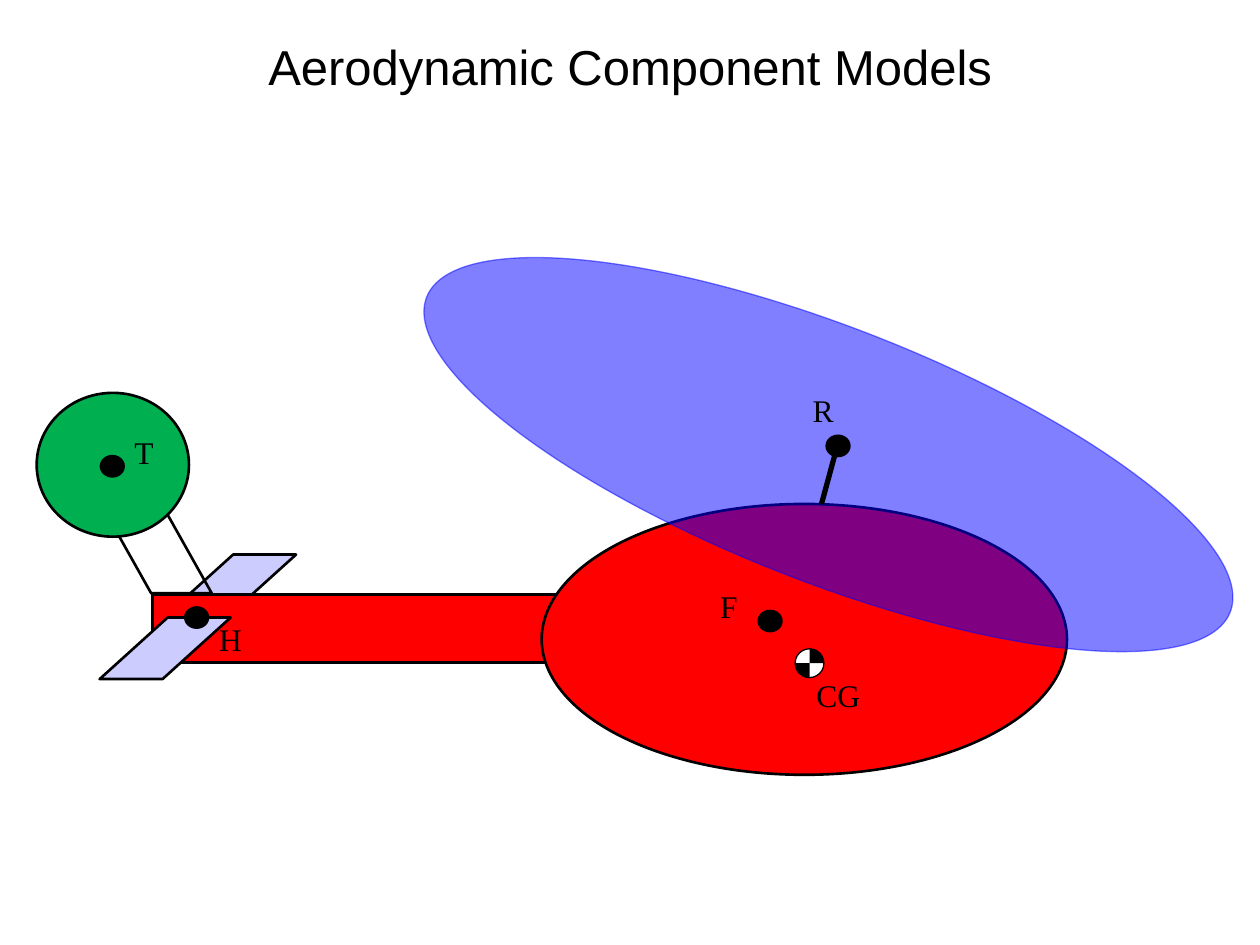
from math import cos, pi, sin

from pptx import Presentation
from pptx.dml.color import RGBColor
from pptx.enum.shapes import MSO_CONNECTOR as Link, MSO_SHAPE as Preset
from pptx.enum.text import MSO_ANCHOR as Anchor, MSO_AUTO_SIZE as AutoSize, PP_ALIGN as Align
from pptx.oxml.ns import qn
from pptx.oxml.xmlchemy import OxmlElement
from pptx.util import Cm, Pt

BLACK, WHITE, RED = "000000", "FFFFFF", "FF0000"
GREEN, BLUE, LILAC = "00B050", "0000FF", "CCCCFF"


def set_color(color_format, color):
    """Give a fill, line or font colour from a hex string."""
    color_format.rgb = RGBColor.from_string(color)


def paint(shape, fill=None, line=None, width=1.5):
    """Set fill and outline of a shape; None means not drawn."""
    shape.shadow.inherit = False
    if fill:
        shape.fill.solid()
        set_color(shape.fill.fore_color, fill)
    else:
        shape.fill.background()
    if line:
        set_color(shape.line.color, line)
        shape.line.width = Pt(width)
    else:
        shape.line.fill.background()


def add_part(shapes, preset, box, fill=None, line=BLACK, width=1.5, slant=None):
    """Add a preset shape at box (left, top, width, height in cm)."""
    part = shapes.add_shape(preset, *map(Cm, box))
    paint(part, fill, line, width)
    if slant is not None:
        part.adjustments[0] = slant
    return part


def make_translucent(shape, percent):
    """Give fill and outline of a shape the same opacity."""
    for color in shape._element.spPr.iter(qn("a:srgbClr")):
        alpha = OxmlElement("a:alpha")
        alpha.set("val", str(percent * 1000))
        color.append(alpha)


def add_run(paragraph, text, font, size):
    """Append one formatted black run."""
    run = paragraph.add_run()
    run.text = text
    run.font.name, run.font.size = font, Pt(size)
    set_color(run.font.color, BLACK)


def add_label(shapes, text, left, top, width):
    """Add the letter that names a reference point."""
    frame = shapes.add_textbox(Cm(left), Cm(top), Cm(width), Cm(1.02)).text_frame
    frame.word_wrap = False
    frame.auto_size = AutoSize.SHAPE_TO_FIT_TEXT
    add_run(frame.paragraphs[0], text, "Times New Roman", 18)


def add_mast(shapes, start, end):
    """Add the thick line from rotor hub to fuselage."""
    mast = shapes.add_connector(Link.STRAIGHT, *map(Cm, start + end))
    set_color(mast.line.color, BLACK)
    mast.line.width = Pt(3)
    mast._element.spPr.append(OxmlElement("a:effectLst"))


def add_gravity_mark(shapes, x, y, radius):
    """Add the centre of gravity: a disc with two opposite black quarters."""
    mark = shapes.add_group_shape().shapes
    add_part(mark, Preset.OVAL, (x - radius, y - radius, 2 * radius, 2 * radius),
             WHITE, BLACK, 0.75)
    steps = 16
    for start in (-pi / 2, pi / 2):
        angles = [start + pi / 2 * step / steps for step in range(steps + 1)]
        arc = [(Cm(x + radius * cos(a)), Cm(y + radius * sin(a))) for a in angles]
        builder = mark.build_freeform(Cm(x), Cm(y))
        builder.add_line_segments(arc, close=True)
        paint(builder.convert_to_shape(), BLACK)


def set_title(title, text):
    """Place and format the slide title."""
    title.left, title.top, title.width, title.height = map(Cm, (1.27, 0.76, 22.86, 1.14))
    frame = title.text_frame
    frame.vertical_anchor = Anchor.MIDDLE
    frame.paragraphs[0].alignment = Align.CENTER
    add_run(frame.paragraphs[0], text, "Arial", 28)


def add_tail(shapes):
    """Add the boom between the two stabilizer halves, the fin and the tail rotor."""
    stabilizer = {"fill": LILAC, "slant": 1.106}
    add_part(shapes, Preset.PARALLELOGRAM, (3.33, 11.18, 2.64, 1.24), **stabilizer)
    add_part(shapes, Preset.RECTANGLE, (3.07, 11.99, 8.61, 1.37), RED)
    add_part(shapes, Preset.PARALLELOGRAM, (2.01, 12.45, 2.64, 1.24), **stabilizer)
    fin = add_part(shapes, Preset.PARALLELOGRAM, (1.88, 9.88, 2.39, 2.08), slant=0.562)
    fin._element.spPr.find(qn("a:xfrm")).set("flipH", "1")
    add_part(shapes, Preset.OVAL, (0.74, 7.92, 3.07, 2.9), GREEN)


def main():
    """Build the helicopter slide."""
    deck = Presentation()
    deck.slide_width, deck.slide_height = Cm(25.4), Cm(19.05)
    slide = deck.slides.add_slide(deck.slide_layouts[5])
    shapes = slide.shapes
    set_title(shapes.title, "Aerodynamic Component Models")

    add_tail(shapes)
    add_part(shapes, Preset.OVAL, (10.92, 10.16, 10.59, 5.46), RED)
    rotor = add_part(shapes, Preset.OVAL, (8, 6.6, 17.4, 5.13), BLUE, BLUE, 0.75)
    rotor.rotation = 21.4
    make_translucent(rotor, 50)

    add_gravity_mark(shapes, 16.32, 13.37, 0.29)
    add_mast(shapes, (16.87, 9.02), (16.56, 10.16))
    for left, top in ((16.64, 8.76), (2.01, 9.17), (3.71, 12.22), (15.27, 12.29)):
        add_part(shapes, Preset.OVAL, (left, top, 0.51, 0.46), BLACK, None)

    for label in (("CG", 16.21, 13.51, 1.4), ("F", 14.27, 11.71, 0.86),
                  ("T", 2.46, 8.61, 0.91), ("H", 4.17, 12.37, 0.97),
                  ("R", 16.13, 7.75, 0.94)):
        add_label(shapes, *label)
    deck.save("out.pptx")


main()
